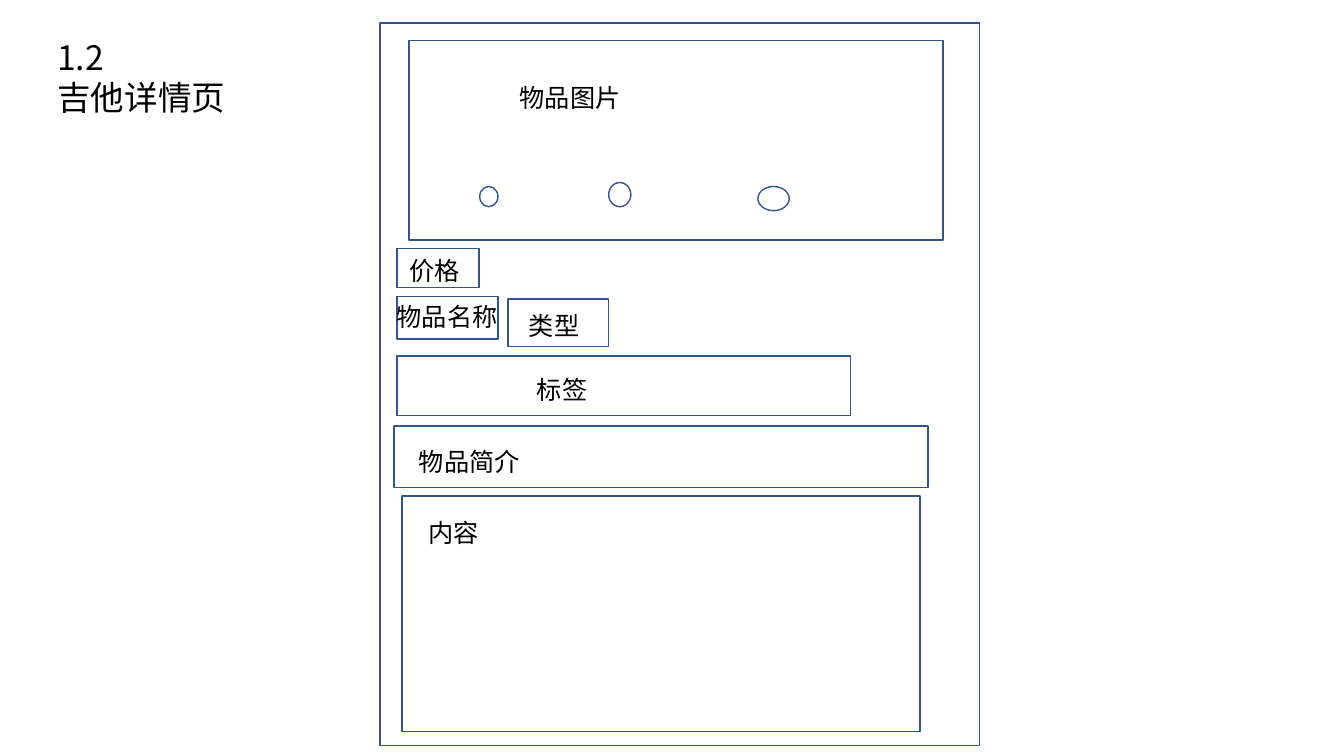
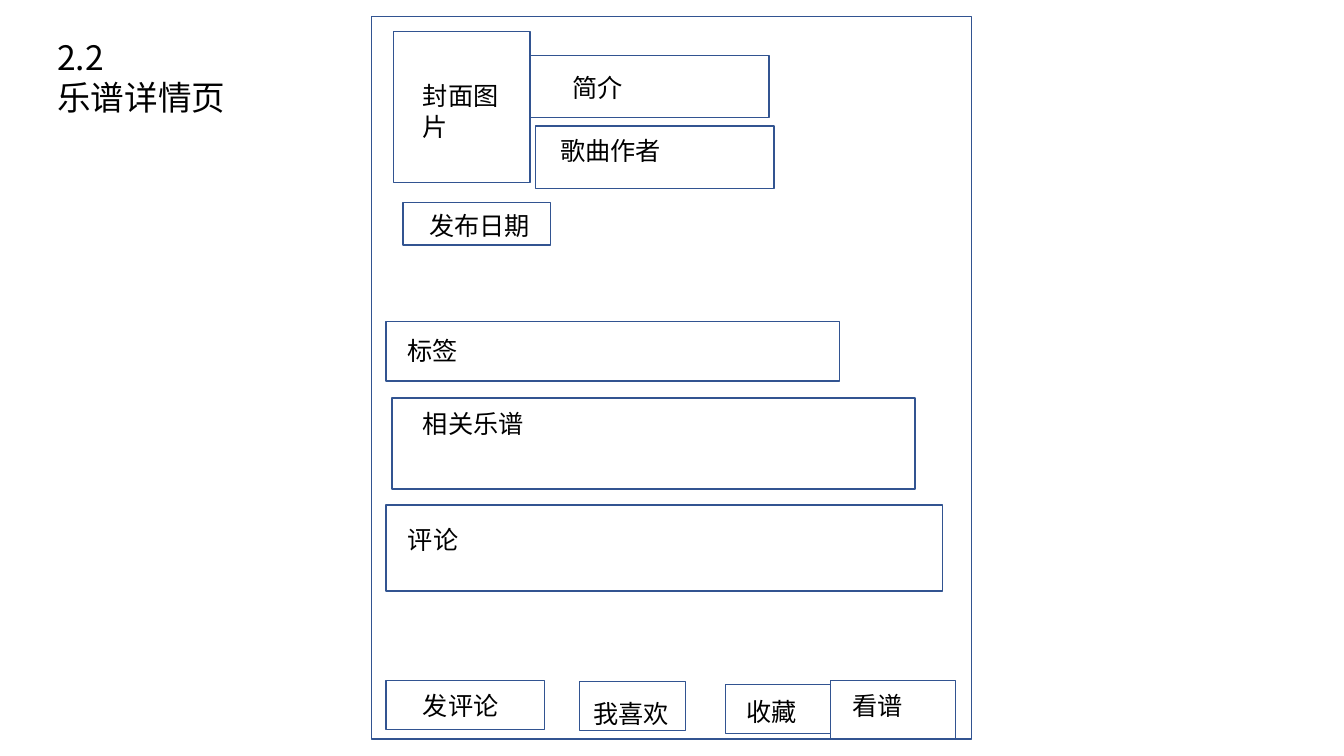
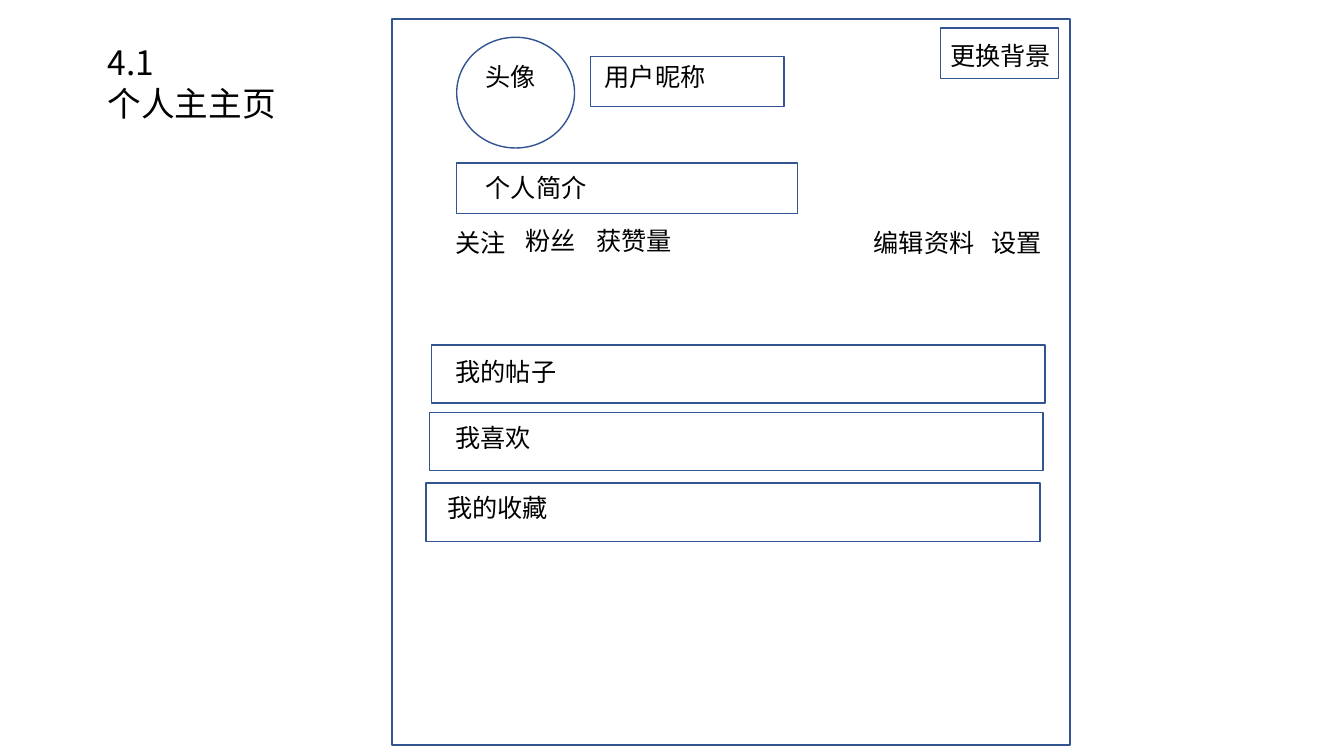
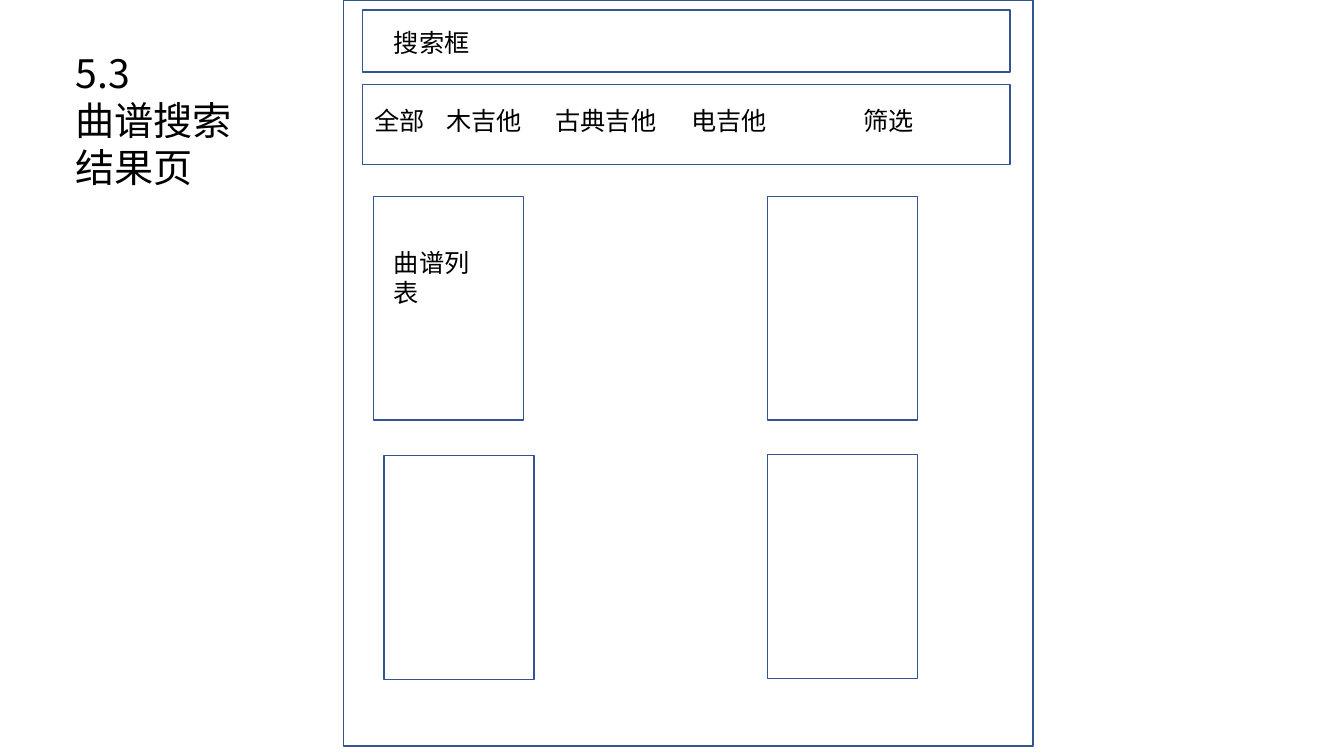
from pptx import Presentation
from pptx.dml.color import RGBColor
from pptx.enum import shapes, text
from pptx.oxml.ns import qn
from pptx.util import Cm, Pt
from lxml import etree

FONT = "Noto Sans CJK SC"
INK, PAPER, OUTLINE = "000000", "FFFFFF", "325491"
RECT, OVAL = shapes.MSO_SHAPE.RECTANGLE, shapes.MSO_SHAPE.OVAL
LINE_H, TWO_LINES_H = 1.02, 1.8


def color(hex_text):
    return RGBColor.from_string(hex_text)


def write(tf, content, size=18, ink=INK, tabs=()):
    """Fill a text frame, one paragraph per line, with optional tab stops in cm."""
    tf.word_wrap = True
    tf.auto_size = text.MSO_AUTO_SIZE.NONE
    tf.vertical_anchor = text.MSO_ANCHOR.TOP
    for i, line in enumerate(content.split("\n")):
        p = tf.paragraphs[0] if i == 0 else tf.add_paragraph()
        p.alignment = text.PP_ALIGN.LEFT
        if tabs:
            stops = etree.SubElement(p._p.get_or_add_pPr(), qn("a:tabLst"))
            for pos in tabs:
                etree.SubElement(stops, qn("a:tab"), pos=str(Cm(pos)), algn="l")
        r = p.add_run()
        r.text = line
        r.font.size = Pt(size)
        r.font.color.rgb = color(ink)
        r.font.name = FONT
        etree.SubElement(r._r.get_or_add_rPr(), qn("a:ea"), typeface=FONT)


class Wireframe:
    """Draws page sketches; all lengths are in cm."""

    def __init__(self):
        self.prs = Presentation()
        self.prs.slide_width, self.prs.slide_height = Cm(33.87), Cm(19.05)
        self.s = None

    def page(self, title, title_at, frame, size=24):
        self.s = self.prs.slides.add_slide(self.prs.slide_layouts[5])
        sp = self.s.shapes.title
        sp.left, sp.top, sp.width, sp.height = map(Cm, title_at)
        write(sp.text_frame, title, size=size)
        self.box(*frame)

    def box(self, x, y, w, h, kind=RECT):
        sp = self.s.shapes.add_shape(kind, Cm(x), Cm(y), Cm(w), Cm(h))
        sp.shadow.inherit = False
        sp.fill.solid()
        sp.fill.fore_color.rgb = color(PAPER)
        sp.line.color.rgb = color(OUTLINE)
        sp.line.width = Pt(1)

    def label(self, content, x, y, w, h=LINE_H, **fmt):
        sp = self.s.shapes.add_textbox(Cm(x), Cm(y), Cm(w), Cm(h))
        write(sp.text_frame, content, **fmt)

    def fields(self, rows):
        """Each row: text, box geometry, label geometry."""
        for content, box_at, label_at in rows:
            self.box(*box_at)
            self.label(content, *label_at)

    def save(self):
        self.prs.save("out.pptx")


w = Wireframe()

# 1.2 Guitar details
w.page("1.2\n吉他详情页", (1.19, 0.79, 5.74, 2.31), (9.58, 0.58, 15.11, 18.21))
w.fields([
    ("物品图片", (10.31, 1.02, 13.46, 5.03), (12.85, 1.96, 8.59)),
    ("价格", (10.01, 6.27, 2.06, 0.97), (10.06, 6.3, 3.1)),
    ("物品名称", (10.01, 7.47, 2.54, 1.07), (9.75, 7.47, 3.25)),
    ("类型", (12.8, 7.54, 2.54, 1.19), (13.08, 7.7, 2.82)),
    ("标签", (10.01, 8.97, 11.43, 1.5), (13.28, 9.32, 3.38)),
    ("物品简介", (9.93, 10.74, 13.46, 1.55), (10.31, 11.13, 3.1)),
    ("内容", (10.13, 12.5, 13.06, 5.94), (10.54, 12.9, 8.84)),
])
# Carousel dots
for dot in [(12.09, 4.7, 0.46, 0.51), (15.34, 4.6, 0.56, 0.61), (19.1, 4.7, 0.79, 0.61)]:
    w.box(*dot, kind=OVAL)

# 2.2 Score details
w.page("2.2\n乐谱详情页", (1.19, 0.79, 5.74, 2.31), (9.37, 0.41, 15.11, 18.21))
w.fields([
    ("封面图片", (9.91, 0.79, 3.45, 3.81), (10.41, 1.91, 2.74, TWO_LINES_H)),
    ("简介", (13.36, 1.4, 6.02, 1.57), (14.17, 1.7, 3.1)),
    ("歌曲作者", (13.49, 3.18, 6.02, 1.57), (13.87, 3.28, 3.1)),
    ("发布日期", (10.16, 5.11, 3.71, 1.07), (10.57, 5.18, 3.2)),
    ("标签", (9.73, 8.1, 11.43, 1.5), (10.01, 8.33, 3.38)),
    ("相关乐谱", (9.88, 10.03, 13.18, 2.29), (10.41, 10.16, 5.94)),
    ("评论", (9.73, 12.73, 14.02, 2.16), (10.03, 13.08, 4.29)),
    ("发评论", (9.73, 17.15, 3.99, 1.24), (10.41, 17.27, 2.44)),
    ("我喜欢", (14.61, 17.17, 2.67, 1.24), (14.71, 17.48, 2.67)),
    ("收藏", (18.29, 17.25, 2.67, 1.24), (18.57, 17.42, 2.67)),
    ("看谱", (20.93, 17.15, 3.15, 1.47), (21.23, 17.27, 2.64)),
])

# 4.1 Personal home page
w.page("4.1\n个人主主页", (2.46, 0.94, 4.75, 2.31), (9.88, 0.48, 17.09, 18.29))
w.box(11.51, 0.94, 2.97, 2.79, kind=OVAL)
w.label("头像", 11.99, 1.42, 2.16)
LIST_W, LIST_H = 15.47, 1.47
w.fields([
    ("用户昵称", (14.88, 1.42, 4.88, 1.27), (14.99, 1.42, 4.29)),
    ("更换背景", (23.7, 0.71, 2.97, 1.27), (23.7, 0.89, 3.28)),
    ("个人简介", (11.51, 4.11, 8.59, 1.27), (11.99, 4.22, 6.58)),
    ("我的帖子", (10.87, 8.69, LIST_W, LIST_H), (11.23, 8.86, 4.78)),
    ("我喜欢", (10.82, 10.39, LIST_W, LIST_H), (11.23, 10.52, 4.78)),
    ("我的收藏", (10.74, 12.17, LIST_W, LIST_H), (11.02, 12.27, 4.78)),
])
# Counters and actions
for content, x, y, width in [
    ("关注", 11.23, 5.61, 1.8),
    ("粉丝", 13, 5.56, 1.8),
    ("获赞量", 14.78, 5.56, 3.76),
    ("编辑资料", 21.77, 5.61, 3.3),
    ("设置", 24.74, 5.61, 1.93),
]:
    w.label(content, x, y, width)

# 5.3 Score search results
w.page("5.3\n曲谱搜索结果页", (1.65, 1.12, 4.52, 3.84), (8.66, 0, 17.37, 18.8), size=28)
w.fields([("搜索框", (9.14, 0.25, 16.31, 1.57), (9.68, 0.56, 11.3))])
w.box(9.14, 2.13, 16.31, 2.01)
w.label("全部\t木吉他\t古典吉他\t电吉他\t筛选", 9.19, 2.54, 15.62,
        tabs=(1.81, 4.56, 7.99, 12.32))
# Result cards
for x, y in [(9.42, 4.95), (19.35, 4.95), (9.68, 11.48), (19.35, 11.46)]:
    w.box(x, y, 3.78, 5.64)
w.label("曲谱列表", 9.68, 6.1, 2.92, TWO_LINES_H)

w.save()
